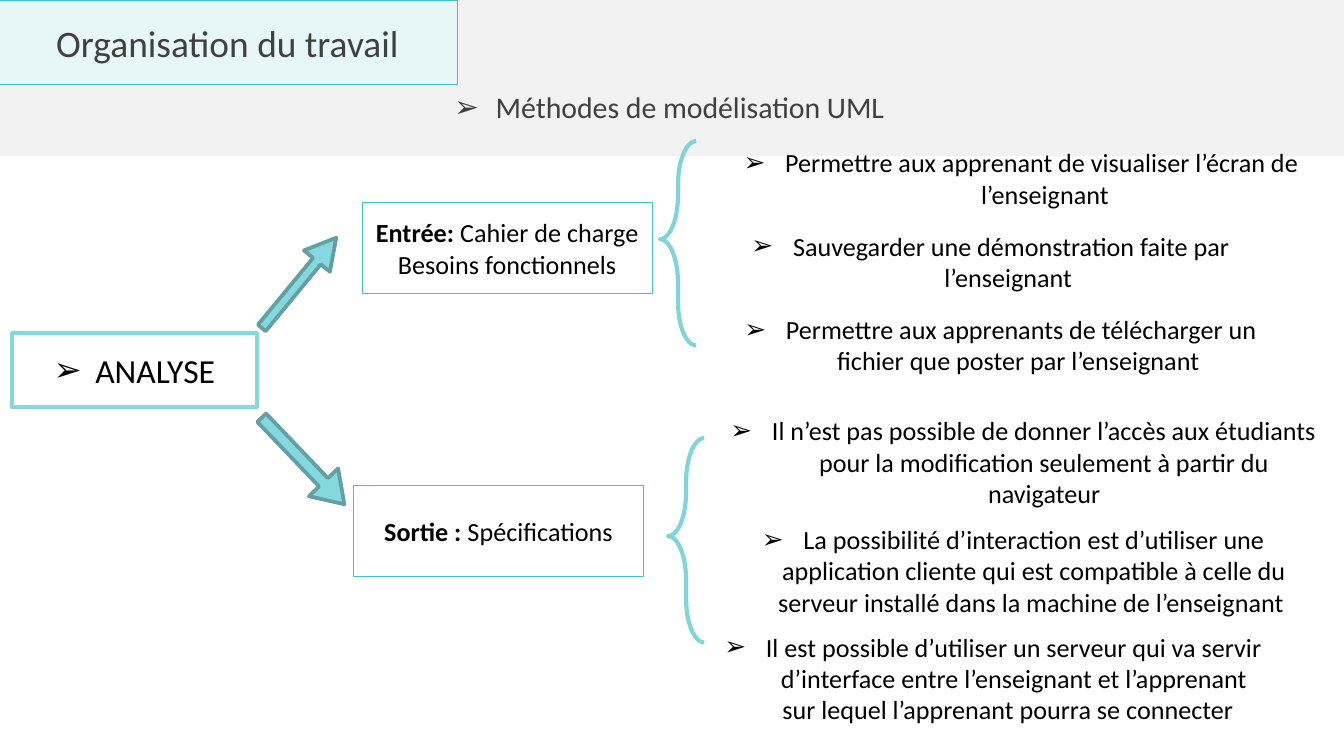
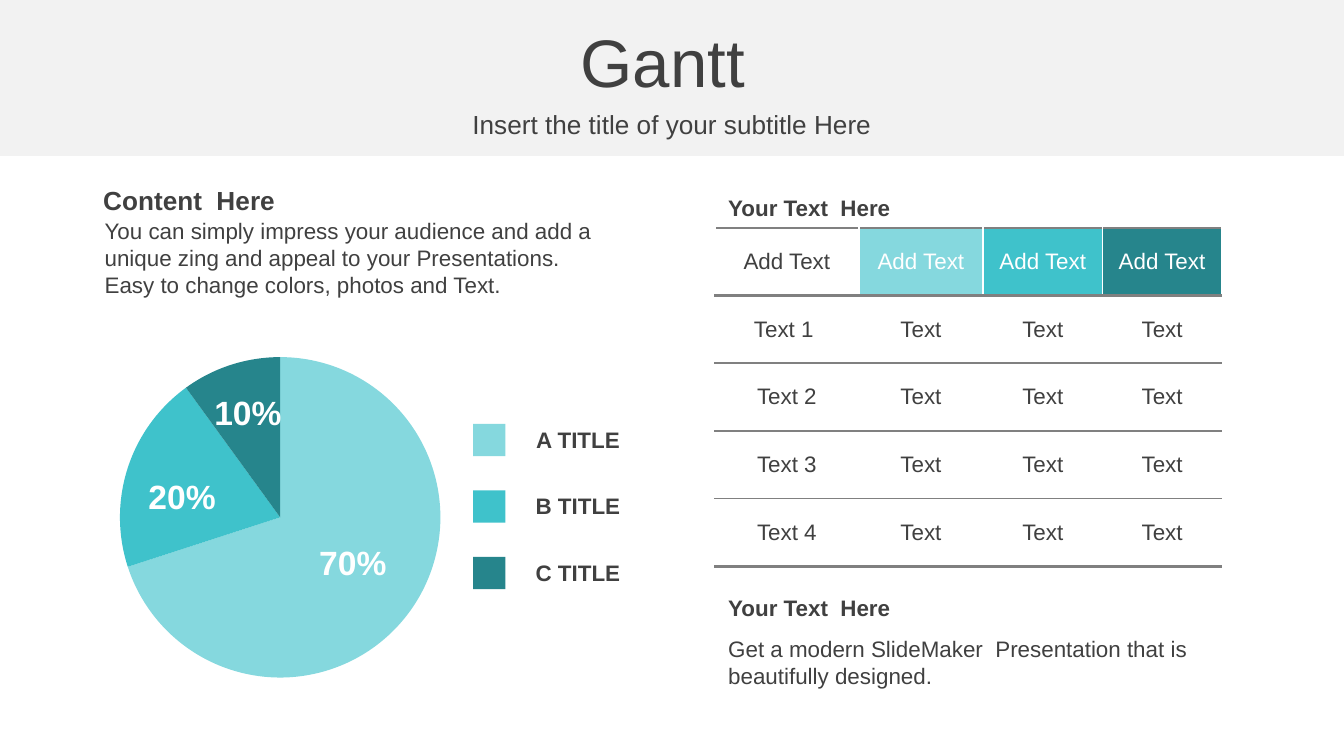
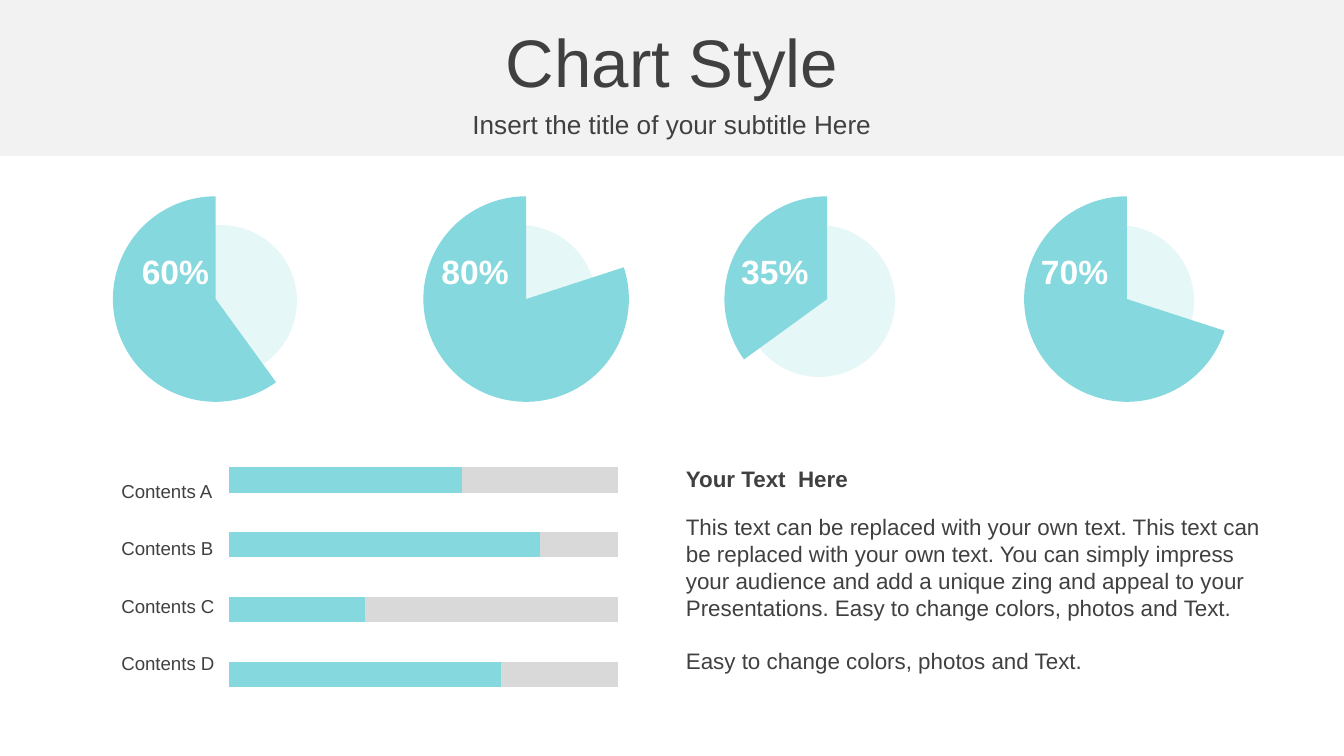
from pptx import Presentation
from pptx.chart.data import CategoryChartData
from pptx.dml.color import RGBColor
from pptx.enum.chart import XL_CHART_TYPE as ChartType
from pptx.enum.shapes import MSO_SHAPE as Preset
from pptx.enum.text import MSO_ANCHOR as Anchor, MSO_AUTO_SIZE as AutoSize, PP_ALIGN as Align
from pptx.oxml import parse_xml
from pptx.oxml.ns import nsdecls, qn
from pptx.util import Inches, Pt

# Grid: the slide is 100 columns wide and 56.25 rows high
CELL = Inches(0.1)
COLUMNS, ROWS = 100, 56.25
TITLE_ONLY = 5

WHITE, BLACK, INK = "FFFFFF", "000000", "404040"
BAND, RULE, TRACK = "F2F2F2", "808080", "D9D9D9"
LIGHT, TEAL, DARK = "85D8DE", "3FC2CB", "26858C"
TITLE_FILL, BRACE, ARROW_EDGE = "E7F7F8", "80D5DB", "62A0A4"
SHADES = [LIGHT, TEAL, DARK]
SUBTITLE = "Insert the title of your subtitle Here"


def rgb(value):
    return RGBColor.from_string(value)


def grid(*cells):
    return [round(cell * CELL) for cell in cells]


def paint(shape, fill=None, line=None, width=1):
    if fill:
        shape.fill.solid()
        shape.fill.fore_color.rgb = rgb(fill)
    else:
        shape.fill.background()
    if line:
        shape.line.color.rgb = rgb(line)
        shape.line.width = Pt(width)
    else:
        shape.line.fill.background()


# Text
def add_bullet(paragraph):
    properties = paragraph._p.get_or_add_pPr()
    indent = Inches(0.31)
    properties.set("marL", str(indent))
    properties.set("indent", str(-indent))
    properties.append(parse_xml(f'<a:buFont {nsdecls("a")} typeface="Arial"/>'))
    properties.append(parse_xml(f'<a:buChar {nsdecls("a")} char="➢"/>'))


def write(frame, texts, size, color=INK, font="Arial", bold=False,
          align=Align.LEFT, bullet=False, lead="", gap=0):
    """Fill a text frame; lead is a bold opening of the first paragraph."""
    frame.word_wrap = True
    frame.auto_size = AutoSize.NONE
    frame.vertical_anchor = Anchor.MIDDLE
    for index, text in enumerate(texts):
        paragraph = frame.add_paragraph() if index else frame.paragraphs[0]
        if lead and not index:
            paragraph.text = lead
            paragraph.add_run().text = text
        else:
            paragraph.text = text
        paragraph.alignment = align
        if index and gap:
            paragraph.space_before = Pt(gap)
        if bullet:
            add_bullet(paragraph)
        for run in paragraph.runs:
            run.font.size = Pt(size)
            run.font.name = font
            run.font.bold = bold or run.text == lead
            run.font.color.rgb = rgb(color)


def add_text(slide, place, text, size, **style):
    texts = [text] if isinstance(text, str) else text
    write(slide.shapes.add_textbox(*grid(*place)).text_frame, texts, size, **style)


# Shapes
def add_preset(slide, preset, place, fill=None, line=None, width=1, turn=0, adjust=()):
    shape = slide.shapes.add_shape(preset, *grid(*place))
    shape.shadow.inherit = False
    paint(shape, fill, line, width)
    shape.rotation = turn
    for index, value in enumerate(adjust):
        shape.adjustments[index] = value
    return shape


def add_band(presentation, slide):
    """Put the grey header band on the layout that all slides share."""
    band = add_preset(slide, Preset.RECTANGLE, (0, 0, COLUMNS, 11.6), BAND)
    band.element.nvSpPr.cNvPr.set("id", "99")
    presentation.slide_layouts[TITLE_ONLY].shapes.element.insert(2, band.element)


def add_titled_slide(presentation, title, place=(0, 1.35, COLUMNS, 6.3), size=36, font="Arial"):
    slide = presentation.slides.add_slide(presentation.slide_layouts[TITLE_ONLY])
    shape = slide.shapes.title
    shape.left, shape.top, shape.width, shape.height = grid(*place)
    write(shape.text_frame, [title], size, font=font, align=Align.CENTER)
    return slide


def add_subtitle(slide):
    add_text(slide, (0, 7.7, COLUMNS, 3.1), SUBTITLE, 14, align=Align.CENTER)


# Charts
def add_plain_chart(slide, kind, place, series, plot_area):
    """Add a chart without title, legend or background; plot_area is in shares of it."""
    data = CategoryChartData()
    data.categories = [str(number + 1) for number in range(len(series[0]))]
    for number, values in enumerate(series, 1):
        data.add_series(f"Series {number}", values)
    chart = slide.shapes.add_chart(kind, *grid(*place), data).chart
    chart.has_title = chart.has_legend = False
    chart.font.size = Pt(18)
    chart.font.name = "Arial"
    chart.font.color.rgb = rgb(BLACK)
    chart.plots[0].vary_by_categories = False

    root = chart.element.find(qn("c:chart"))
    root.addnext(parse_xml(f'<c:spPr {nsdecls("c", "a")}><a:noFill/>'
                           '<a:ln><a:noFill/></a:ln></c:spPr>'))
    area = root.find(qn("c:plotArea"))
    for layout in area.findall(qn("c:layout")):
        area.remove(layout)
    shares = "".join(f'<c:{key} val="{share}"/>' for key, share in zip("xywh", plot_area))
    area.insert(0, parse_xml(
        f'<c:layout {nsdecls("c")}><c:manualLayout><c:layoutTarget val="inner"/>'
        f'<c:xMode val="edge"/><c:yMode val="edge"/>{shares}</c:manualLayout></c:layout>'))
    return chart


def add_pie(slide, place, values, colors, plot_area):
    chart = add_plain_chart(slide, ChartType.PIE, place, [values], plot_area)
    for index, color in enumerate(colors):
        paint(chart.plots[0].series[0].points[index].format, color)


def add_percent_bars(slide, place, done):
    rest = [100 - value for value in done]
    chart = add_plain_chart(slide, ChartType.BAR_STACKED_100, place, [done, rest],
                            (0.02, 0.02, 0.96, 0.96))
    chart.plots[0].gap_width = 157
    chart.plots[0].overlap = 100
    for axis in (chart.category_axis, chart.value_axis):
        axis.has_major_gridlines = False
        axis.visible = False
    for series, color in zip(chart.plots[0].series, (LIGHT, TRACK)):
        paint(series.format, color)


def add_percent_label(slide, place, value):
    add_text(slide, place, f"{value}%", 18, color=WHITE, bold=True, align=Align.CENTER)


# Table
def add_border(cell, side, color, width):
    cell._tc.get_or_add_tcPr().append(parse_xml(
        f'<a:{side} {nsdecls("a")} w="{Pt(width)}"><a:solidFill>'
        f'<a:srgbClr val="{color}"/></a:solidFill></a:{side}>'))


def add_ruled_table(slide, place, widths, rows, header_fills):
    frame = slide.shapes.add_table(len(rows), len(widths), *grid(*place))
    table = frame.table
    table.first_row = table.horz_banding = False
    for column, width in zip(table.columns, grid(*widths)):
        column.width = width
    last = len(rows) - 1
    for row, texts in enumerate(rows):
        above = 1.5 if row < 2 else 1
        below = 1.5 if row in (0, last) else 1
        for column, text in enumerate(texts):
            cell = table.cell(row, column)
            fill = WHITE if row else header_fills[column]
            write(cell.text_frame, [text], 12, align=Align.CENTER,
                  color=INK if fill == WHITE else WHITE)
            cell.vertical_anchor = Anchor.MIDDLE
            for side, color, width in (("lnL", WHITE, 1), ("lnR", WHITE, 1),
                                       ("lnT", RULE, above), ("lnB", RULE, below)):
                add_border(cell, side, color, width)
            cell.fill.solid()
            cell.fill.fore_color.rgb = rgb(fill)


# Slides
def build_organisation(presentation):
    slide = add_titled_slide(presentation, "Organisation du travail",
                             (-0.2, 0, 34.25, 6.3), 20, "Calibri")
    paint(slide.shapes.title, TITLE_FILL, TEAL, 0.75)
    add_band(presentation, slide)
    centred = {"font": "Calibri", "align": Align.CENTER}
    add_text(slide, (-0.2, 6.4, COLUMNS, 3.1), "Méthodes de modélisation UML", 16,
             bullet=True, **centred)

    # Analysis, its input and its output
    analysis = add_preset(slide, Preset.RECTANGLE, (0.9, 24.8, 18.2, 5.5), WHITE, LIGHT, 2)
    write(analysis.text_frame, ["ANALYSE"], 18, BLACK, bullet=True, **centred)
    for left, top, lead, texts in (
            (26.95, 15.05, "Entrée:", [" Cahier de charge", "Besoins fonctionnels"]),
            (26.3, 36.1, "Sortie :", [" Spécifications"])):
        box = add_preset(slide, Preset.RECTANGLE, (left, top, 21.6, 6.8), WHITE, TEAL, 0.25)
        write(box.text_frame, texts, 14, BLACK, lead=lead, **centred)
    for place, turn, head in (((17.9, 19.8, 8.7, 2.5), 309.5, 0.9),
                              ((18.1, 32.8, 8.9, 3), 46.3, 0.75)):
        add_preset(slide, Preset.RIGHT_ARROW, place, LIGHT, ARROW_EDGE, 2, turn, (0.3, head))
    for left, top in ((49.1, 10.5), (49.7, 32.6)):
        add_preset(slide, Preset.LEFT_BRACE, (left, top, 2.7, 15.2), None, BRACE, 2.25,
                   adjust=(1.21, 0.48))

    # Details of the input and of the output
    for place, text in (
            ((52.4, 10.5, 47.6, 5.5),
             "Permettre aux apprenant de visualiser l’écran de  l’enseignant"),
            ((52.5, 16.7, 42.4, 5.5),
             "Sauvegarder une démonstration faite par l’enseignant "),
            ((52.4, 22.9, 44.1, 5.5),
             "Permettre aux apprenants de télécharger un fichier que poster par l’enseignant "),
            ((52.5, 31.6, 47.3, 5.5),
             "Il n’est pas possible de donner l’accès aux étudiants pour la modification "
             "seulement à partir du navigateur"),
            ((52.7, 39.7, 45.4, 5.5),
             "La possibilité d’interaction est d’utiliser une application cliente qui est "
             "compatible à celle du serveur installé dans la machine de l’enseignant "),
            ((52.7, 47.3, 42.4, 6.3),
             "Il est possible d’utiliser un serveur qui va servir d’interface entre "
             "l’enseignant et l’apprenant sur lequel l’apprenant pourra se connecter  ")):
        add_text(slide, place, text, 14, color=BLACK, bullet=True, **centred)


def build_gantt(presentation):
    slide = add_titled_slide(presentation, "Gantt ")
    add_subtitle(slide)
    add_text(slide, (6.7, 13.15, 39.4, 3.4), "Content  Here", 14, bold=True)
    add_text(slide, (6.8, 15.6, 39.2, 7.1),
             "You can simply impress your audience and add a unique zing and appeal to your "
             "Presentations. Easy to change colors, photos and Text.", 12)

    # Pie with its labels and legend
    shares = [70, 20, 10]
    add_pie(slide, (7.6, 25.2, 26.5, 26.6), shares, SHADES, (0.05, 0.05, 0.9, 0.9))
    for value, left, top in zip(shares, (22.4, 9.7, 14.6), (39.8, 34.9, 28.7)):
        add_percent_label(slide, (left, top, 7.7, 4), value)
    for index, (letter, color) in enumerate(zip("ABC", SHADES)):
        top = 31.55 + 4.95 * index
        add_preset(slide, Preset.RECTANGLE, (35.2, top, 2.4, 2.4), color)
        add_text(slide, (37.55, top - 0.35, 10.9, 3), f"{letter} TITLE", 12, bold=True,
                 align=Align.CENTER)

    # Table with its captions
    add_text(slide, (53.2, 13.95, 18.2, 3), "Your Text  Here", 12, bold=True)
    rows = [["Add Text"] * 4]
    rows += [[label] + ["Text"] * 3 for label in ("Text 1 ", "Text 2", "Text 3", "Text 4")]
    add_ruled_table(slide, (53.2, 16.95, 37.7, 25.2), (10.7, 9.25, 8.9, 8.85), rows,
                    [WHITE] + SHADES)
    add_text(slide, (53.2, 43.7, 37.6, 3), "Your Text  Here", 12, bold=True)
    add_text(slide, (53.2, 46.75, 37.6, 5),
             "Get a modern SlideMaker  Presentation that is beautifully designed.", 12)


def build_chart_style(presentation):
    slide = add_titled_slide(presentation, "Chart Style")
    add_subtitle(slide)

    # Partial pies over pale discs
    for index, (value, left) in enumerate(zip((60, 80, 35, 70), (6.9, 30, 52.4, 74.7))):
        disc = add_preset(slide, Preset.OVAL, (10.8 + 22.25 * index, 16.75, 11.3, 11.3), LIGHT)
        tint = disc.element.spPr.find(qn("a:solidFill"))[0]
        tint.append(parse_xml(f'<a:alpha {nsdecls("a")} val="20000"/>'))
        add_pie(slide, (left, 13.35, 18.3, 18), [100 - value, value], [None, LIGHT],
                (0.08, 0.07, 0.84, 0.85))
        add_percent_label(slide, (8.3 + 22.3 * index, 18.2, 9.5, 4), value)

    # Bars with their labels; the first value is the lowest bar
    for index, letter in enumerate("ABCD"):
        add_text(slide, (8.05, 35.2 + 4.27 * index, 9.3, 2.7), f"Contents {letter}", 10)
    add_percent_bars(slide, (16.4, 32.9, 30.2, 20.1), [70, 35, 80, 60])

    add_text(slide, (50.05, 34.1, 46.4, 3), "Your Text  Here", 12, bold=True)
    add_text(slide, (50.05, 37.6, 46.4, 13.1), [
        "This text can be replaced with your own text. This text can be replaced with your "
        "own text. You can simply impress your audience and add a unique zing and appeal to "
        "your Presentations. Easy to change colors, photos and Text.",
        "Easy to change colors, photos and Text."], 12, gap=14)


def main():
    presentation = Presentation()
    presentation.slide_width, presentation.slide_height = grid(COLUMNS, ROWS)
    build_organisation(presentation)
    build_gantt(presentation)
    build_chart_style(presentation)
    presentation.save("out.pptx")


if __name__ == "__main__":
    main()
